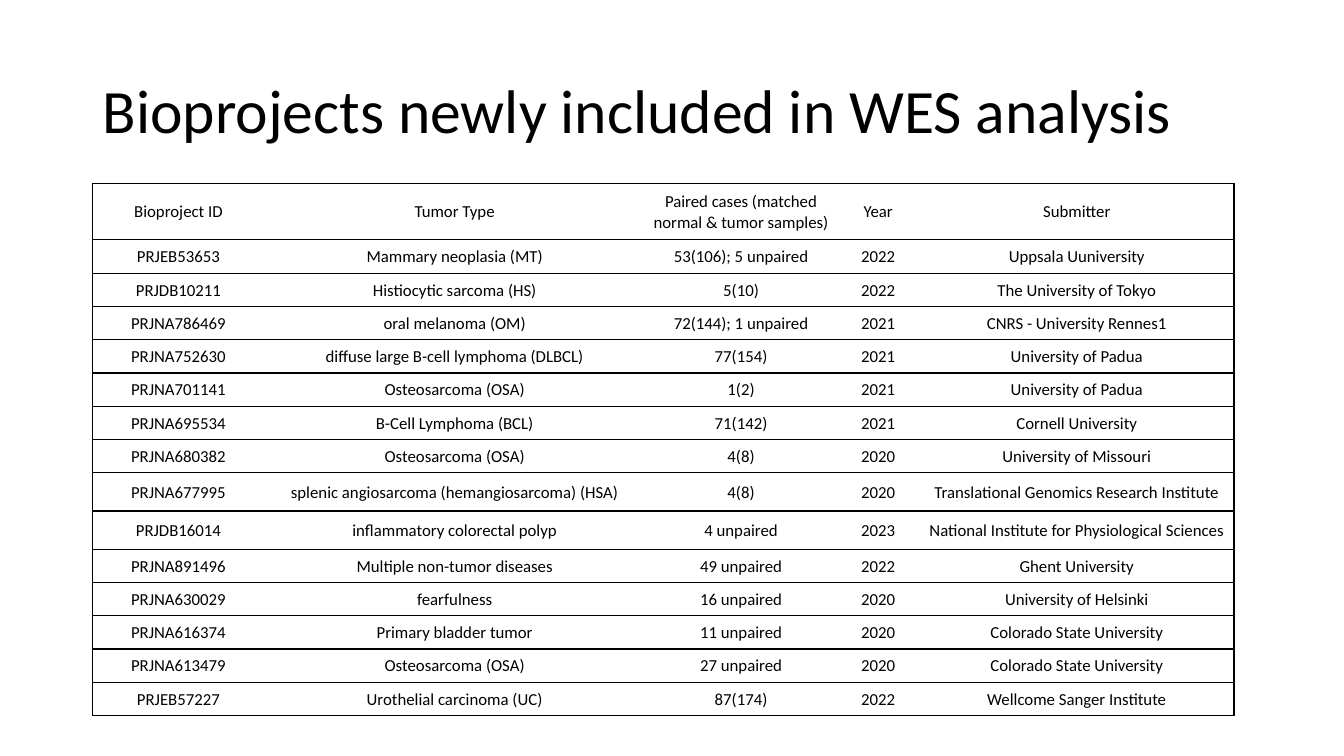
from lxml.etree import SubElement
from pptx import Presentation
from pptx.dml.color import RGBColor
from pptx.enum.text import MSO_ANCHOR, MSO_AUTO_SIZE, PP_ALIGN
from pptx.oxml.ns import qn
from pptx.util import Pt

EMU_PER_PX = 9144
BLACK, WHITE = "000000", "FFFFFF"
COLUMN_WIDTHS = [170, 378, 190, 82, 312]
HEADER_HEIGHT, ROW_HEIGHT, TALL_ROW_HEIGHT = 56, 33, 38
TALL_PROJECTS = {"PRJNA677995", "PRJDB16014"}
HEADER = ("Bioproject ID", "Tumor Type", "Paired cases (matched normal & tumor samples)", "Year", "Submitter")
PROJECTS = [
    ("PRJEB53653", "Mammary neoplasia (MT)", "53(106); 5 unpaired", "2022", "Uppsala Uuniversity"),
    ("PRJDB10211", "Histiocytic sarcoma (HS)", "5(10)", "2022", "The University of Tokyo"),
    ("PRJNA786469", "oral melanoma (OM)", "72(144); 1 unpaired", "2021", "CNRS - University Rennes1"),
    ("PRJNA752630", "diffuse large B-cell lymphoma (DLBCL)", "77(154)", "2021", "University of Padua"),
    ("PRJNA701141", "Osteosarcoma (OSA)", "1(2)", "2021", "University of Padua"),
    ("PRJNA695534", "B-Cell Lymphoma (BCL)", "71(142)", "2021", "Cornell University"),
    ("PRJNA680382", "Osteosarcoma (OSA)", "4(8)", "2020", "University of Missouri"),
    ("PRJNA677995", "splenic angiosarcoma (hemangiosarcoma) (HSA)", "4(8)", "2020",
     "Translational Genomics Research Institute"),
    ("PRJDB16014", "inflammatory colorectal polyp", "4 unpaired", "2023",
     "National Institute for Physiological Sciences"),
    ("PRJNA891496", "Multiple non-tumor diseases", "49 unpaired", "2022", "Ghent University"),
    ("PRJNA630029", "fearfulness", "16 unpaired", "2020", "University of Helsinki"),
    ("PRJNA616374", "Primary bladder tumor", "11 unpaired", "2020", "Colorado State University"),
    ("PRJNA613479", "Osteosarcoma (OSA)", "27 unpaired", "2020", "Colorado State University"),
    ("PRJEB57227", "Urothelial carcinoma (UC)", "87(174)", "2022", "Wellcome Sanger Institute"),
]


def px(length):
    """Turn whole pixels into EMU."""
    return length * EMU_PER_PX


def color(hex_string):
    """Turn a hex string into a colour."""
    return RGBColor.from_string(hex_string)


def write_text(text_frame, text, size, align, line_spacing=1.0, font_name="Calibri", font_color=BLACK):
    """Put one formatted paragraph into a text frame."""
    paragraph = text_frame.paragraphs[0]
    paragraph.alignment = align
    paragraph.line_spacing = line_spacing
    run = paragraph.add_run()
    run.text = text
    run.font.size = Pt(size)
    run.font.name = font_name
    run.font.color.rgb = color(font_color)


def set_borders(cell, visible_sides):
    """Draw the named sides of a cell and hide the others."""
    properties = cell._tc.get_or_add_tcPr()
    for side in "LRTB":
        line = SubElement(properties, qn(f"a:ln{side}"), w=str(Pt(1)))
        if side in visible_sides:
            fill = SubElement(line, qn("a:solidFill"))
            SubElement(fill, qn("a:srgbClr"), val=BLACK)
        else:
            SubElement(line, qn("a:noFill"))


def format_cell(cell, text, visible_sides):
    """Fill one table cell with centred text, borders and a white ground."""
    cell.margin_left = cell.margin_right = cell.margin_top = px(1)
    cell.margin_bottom = 0
    cell.vertical_anchor = MSO_ANCHOR.MIDDLE
    set_borders(cell, visible_sides)
    cell.fill.solid()
    cell.fill.fore_color.rgb = color(WHITE)
    write_text(cell.text_frame, text, size=12, align=PP_ALIGN.CENTER)


def place_title(slide, left, top, width, height):
    """Move the title placeholder into its box and write the heading."""
    title = slide.shapes.title
    title.left, title.top, title.width, title.height = map(px, (left, top, width, height))
    title.text_frame.word_wrap = True
    title.text_frame.auto_size = MSO_AUTO_SIZE.NONE
    title.text_frame.vertical_anchor = MSO_ANCHOR.MIDDLE
    write_text(title.text_frame, "Bioprojects newly included in WES analysis",
               size=44, align=PP_ALIGN.LEFT, line_spacing=0.9)


def place_project_table(slide, left, top):
    """Build the table of bioprojects from its top left corner."""
    rows = [HEADER, *PROJECTS]
    heights = [HEADER_HEIGHT] + [
        TALL_ROW_HEIGHT if project[0] in TALL_PROJECTS else ROW_HEIGHT for project in PROJECTS
    ]
    box = map(px, (left, top, sum(COLUMN_WIDTHS), sum(heights)))
    table = slide.shapes.add_table(len(rows), len(COLUMN_WIDTHS), *box).table
    table.first_row = table.horz_banding = False
    for column, width in zip(table.columns, COLUMN_WIDTHS):
        column.width = px(width)
    outer_sides = {0: "L", len(COLUMN_WIDTHS) - 1: "R"}
    for row, height, texts in zip(table.rows, heights, rows):
        row.height = px(height)
        for index, (cell, text) in enumerate(zip(row.cells, texts)):
            format_cell(cell, text, "TB" + outer_sides.get(index, ""))


def main():
    """Build the slide and save it."""
    presentation = Presentation()
    presentation.slide_width, presentation.slide_height = px(1333), px(750)
    slide = presentation.slides.add_slide(presentation.slide_layouts[5])
    place_title(slide, 92, 40, 1150, 145)
    place_project_table(slide, 92, 182)
    presentation.save("out.pptx")


if __name__ == "__main__":
    main()
